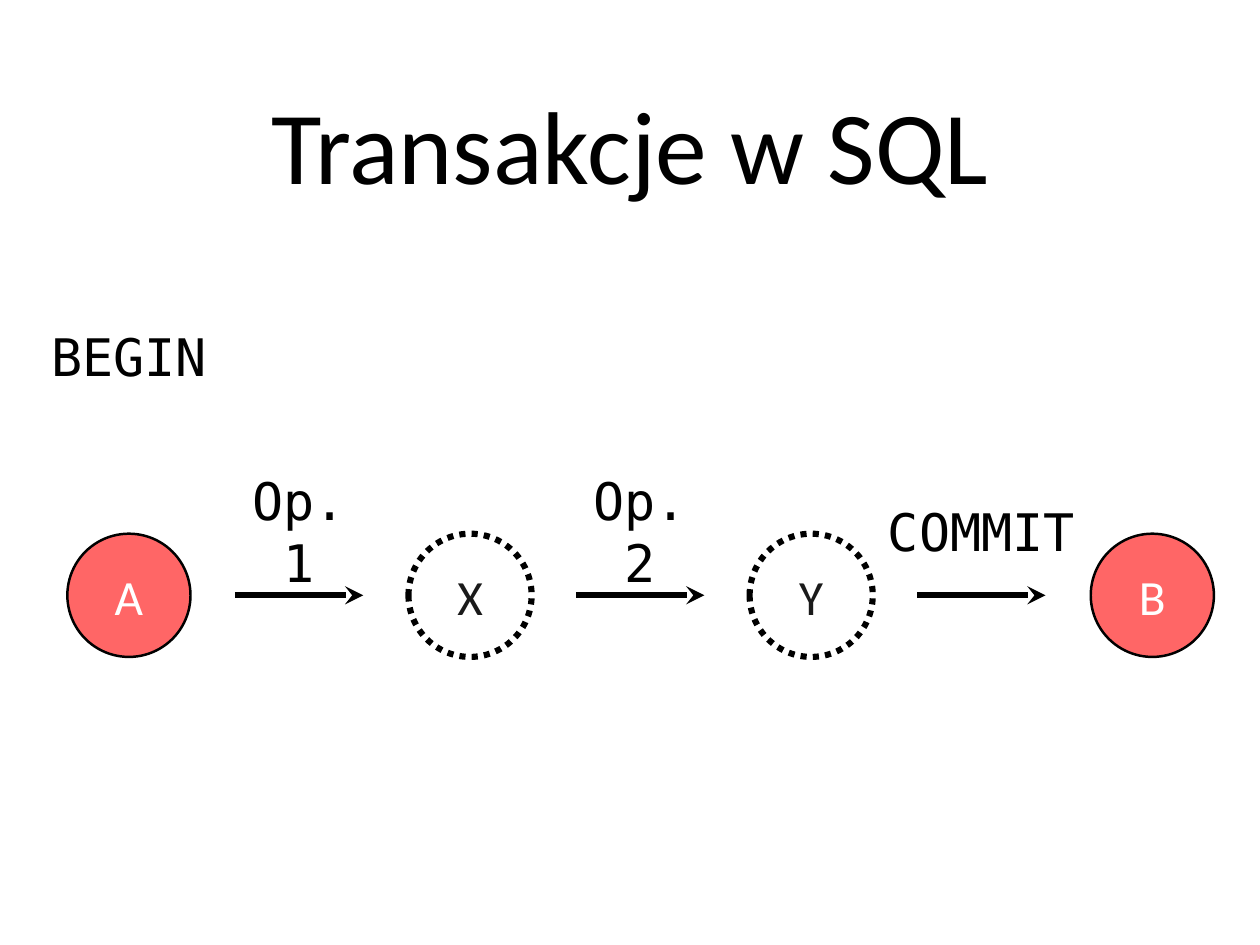
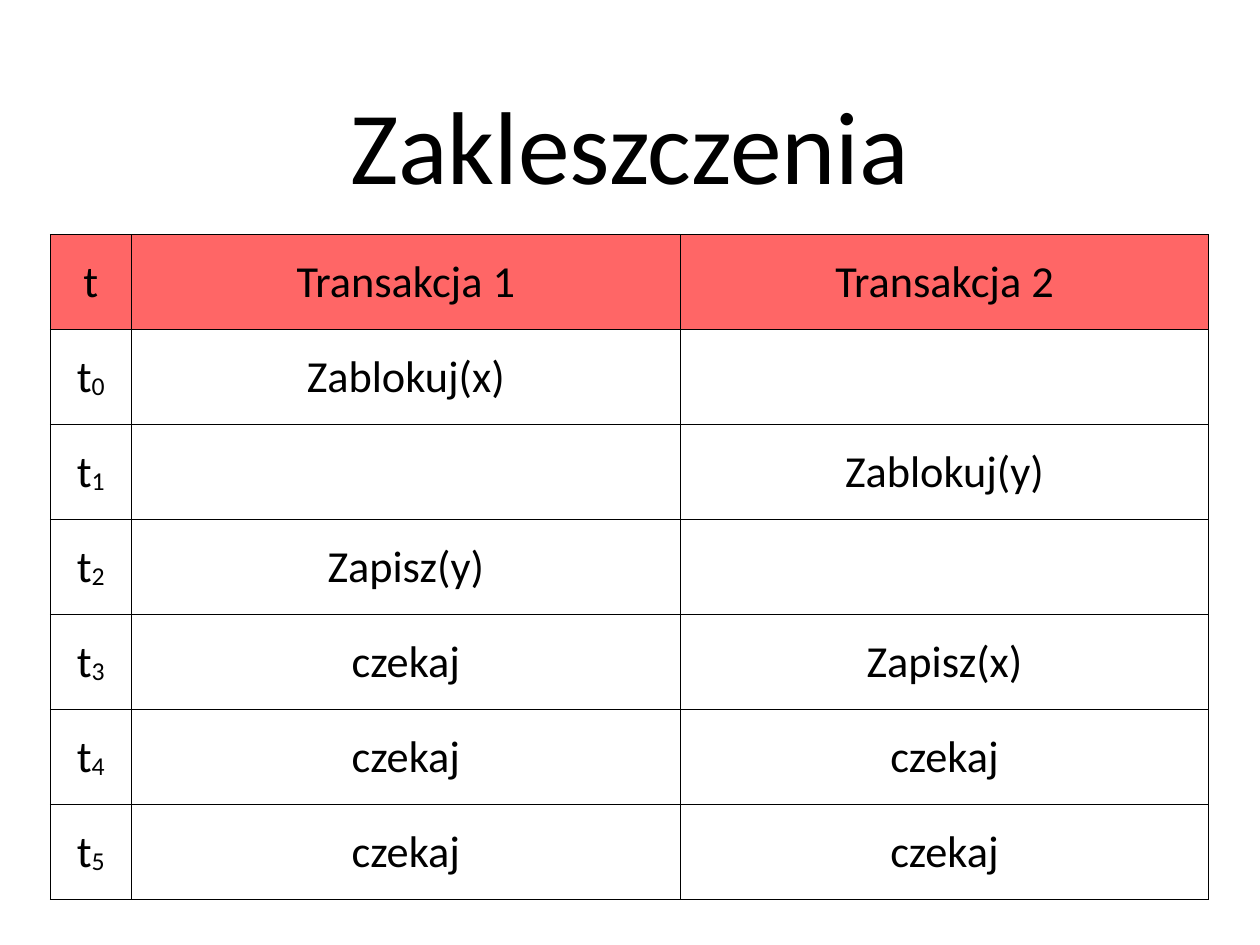
import pptx
import pptx.util
import pptx.dml.color
import pptx.enum.dml
import pptx.enum.shapes
import pptx.enum.text
import pptx.oxml.ns
from lxml import etree

Inches = pptx.util.Inches
Pt = pptx.util.Pt
RGB = pptx.dml.color.RGBColor
qn = pptx.oxml.ns.qn

BLACK = RGB(0x00, 0x00, 0x00)
WHITE = RGB(0xFF, 0xFF, 0xFF)
INK = RGB(0x1A, 0x1A, 0x1A)
RED = RGB(0xFF, 0x66, 0x66)
SANS = "Calibri"
MONO = "DejaVu Sans Mono"

TITLE = (1.39, 0.28, 11.44, 2.67)
GRID = (0.57, 2.65, 13.08, 7.5)
COLS = (0.91, 6.2, 5.96)
EDGE = 0.96
FLOW = (0.76, 6.02, 12.94, 1.39)
STATES = ("A", "X", "Y", "B")
STEPS = (("Op. 1", 1.46), ("Op. 2", 1.46), ("COMMIT", 2.41))
ROWS = (
    ("t", "Transakcja 1", "Transakcja 2"),
    ("t", "Zablokuj(x)", ""),
    ("t", "", "Zablokuj(y)"),
    ("t", "Zapisz(y)", ""),
    ("t", "czekaj", "Zapisz(x)"),
    ("t", "czekaj", "czekaj"),
    ("t", "czekaj", "czekaj"),
)


def write(frame, text, size=36, font=SANS, color=BLACK, inset=0, sub=""):
    """Fill a frame with one centred line, with an optional subscript."""
    frame.word_wrap = True
    frame.vertical_anchor = pptx.enum.text.MSO_ANCHOR.MIDDLE
    frame.margin_left = frame.margin_right = Inches(inset)
    frame.margin_top = frame.margin_bottom = Inches(inset)
    para = frame.paragraphs[0]
    para.alignment = pptx.enum.text.PP_ALIGN.CENTER
    for part in filter(None, (text, sub)):
        run = para.add_run()
        run.text = part
        run.font.size = Pt(size)
        run.font.name = font
        run.font.color.rgb = color
    if sub:
        run.font._element.set("baseline", "-6000")


def label(slide, box, text, **style):
    shape = slide.shapes.add_textbox(*map(Inches, box))
    write(shape.text_frame, text, **style)


def state(slide, box, text, firm):
    """Draw a state circle: firm ones are red, passing ones dotted."""
    kind = pptx.enum.shapes.MSO_SHAPE.OVAL
    shape = slide.shapes.add_shape(kind, *map(Inches, box))
    shape.shadow.inherit = False
    shape.fill.solid()
    shape.fill.fore_color.rgb = RED if firm else WHITE
    shape.line.color.rgb = BLACK
    shape.line.width = Pt(2 if firm else 5)
    if not firm:
        shape.line.dash_style = pptx.enum.dml.MSO_LINE.ROUND_DOT
    write(shape.text_frame, text, size=40, color=WHITE if firm else INK)


def arrow(slide, left, top, width):
    kind = pptx.enum.shapes.MSO_CONNECTOR.STRAIGHT
    ends = (left, top, left + width, top)
    line = slide.shapes.add_connector(kind, *map(Inches, ends))
    line.line.color.rgb = BLACK
    line.line.width = Pt(5)
    tip = etree.SubElement(line.line._get_or_add_ln(), qn("a:tailEnd"))
    tip.set("type", "stealth")
    etree.SubElement(line._element.spPr, qn("a:effectLst"))


def flow(slide, box):
    """Draw the states in a row, with a labelled arrow in each gap."""
    left, top, width, side = box
    pitch = (width - side) / (len(STATES) - 1)
    mid = top + side / 2
    span, high = 1.45, 1.4
    for i, name in enumerate(STATES):
        firm = i in (0, len(STATES) - 1)
        state(slide, (left + i * pitch, top, side, side), name, firm)
    for i, (name, wide) in enumerate(STEPS):
        start = left + i * pitch + side + 0.5
        arrow(slide, start, mid, span)
        place = (start + (span - wide) / 2, mid - 0.73 - high / 2, wide, high)
        label(slide, place, name, size=42, font=MONO)
    label(slide, (left - 0.19, top - 2.36, 1.77, 0.7), "BEGIN",
          size=42, font=MONO)


def border(cell):
    props = cell._tc.get_or_add_tcPr()
    for i, side in enumerate(("lnL", "lnR", "lnT", "lnB")):
        line = etree.Element(qn("a:" + side), w=str(int(Pt(EDGE))))
        fill = etree.SubElement(line, qn("a:solidFill"))
        etree.SubElement(fill, qn("a:srgbClr"), val=str(BLACK))
        props.insert(i, line)


def grid(slide, box):
    """Draw the timeline table, numbering the time steps from zero."""
    frame = slide.shapes.add_table(len(ROWS), len(COLS), *map(Inches, box))
    table = frame.table
    table.first_row = table.horz_banding = False
    for col, width in zip(table.columns, COLS):
        col.width = Inches(width)
    for r, row in enumerate(ROWS):
        table.rows[r].height = Inches(box[3] / len(ROWS))
        for c, text in enumerate(row):
            cell = table.cell(r, c)
            cell.fill.solid()
            cell.fill.fore_color.rgb = WHITE if r else RED
            border(cell)
            sub = str(r - 1) if r and c == 0 else ""
            write(cell.text_frame, text, inset=0.05, sub=sub)
            cell.vertical_anchor = pptx.enum.text.MSO_ANCHOR.MIDDLE
            cell.margin_left = cell.margin_right = Inches(0.06)
            cell.margin_top = cell.margin_bottom = Inches(0.05)


def page(deck, title, draw, box):
    """Add a titled slide and draw its body in the given box."""
    slide = deck.slides.add_slide(deck.slide_layouts[6])
    slide.background.fill.solid()
    slide.background.fill.fore_color.rgb = WHITE
    label(slide, TITLE, title, size=84, inset=0.06)
    draw(slide, box)


def main():
    deck = pptx.Presentation()
    deck.slide_width = Inches(14.22)
    deck.slide_height = Inches(10.66)
    page(deck, "Transakcje w SQL", flow, FLOW)
    page(deck, "Zakleszczenia", grid, GRID)
    deck.save("out.pptx")


if __name__ == "__main__":
    main()
